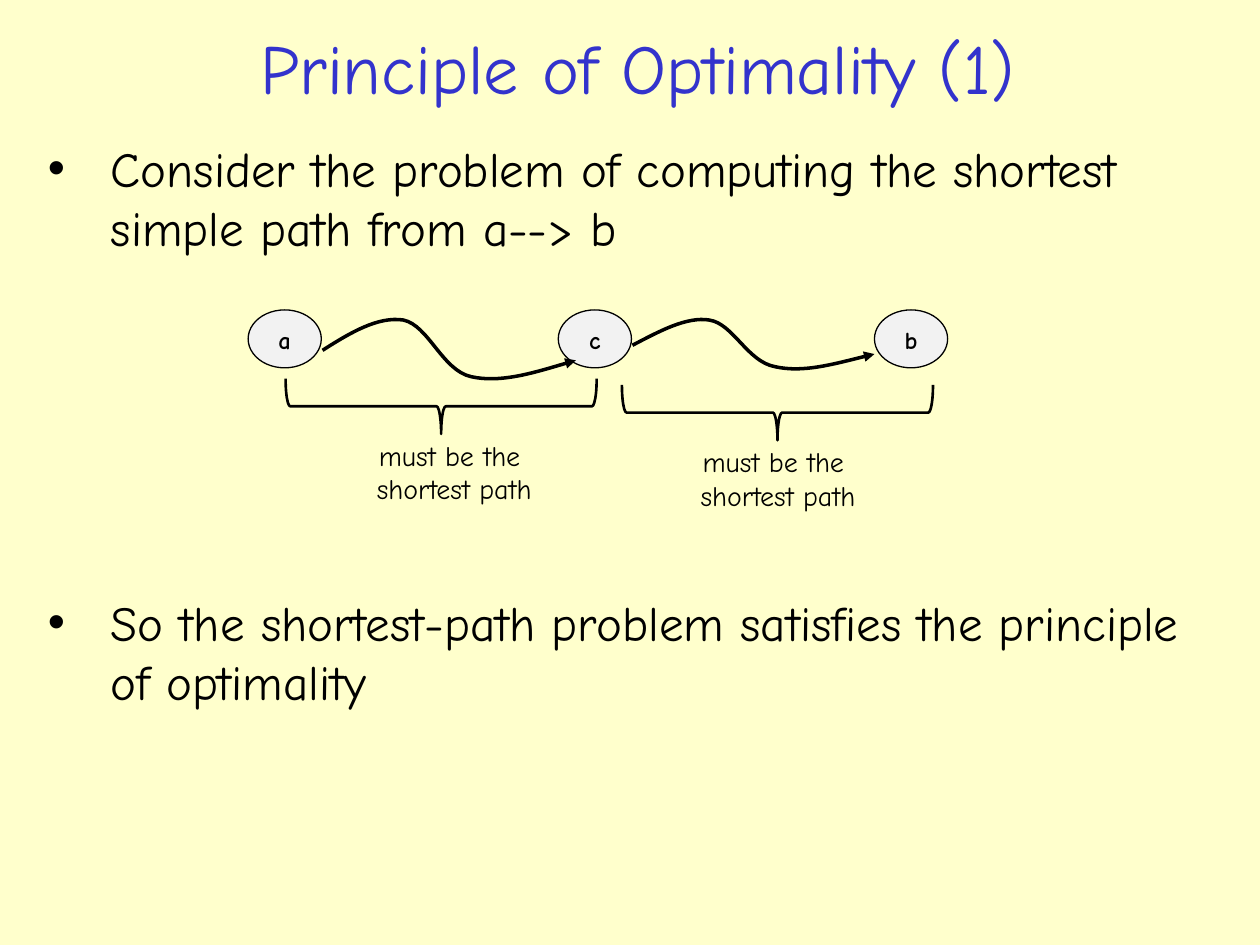
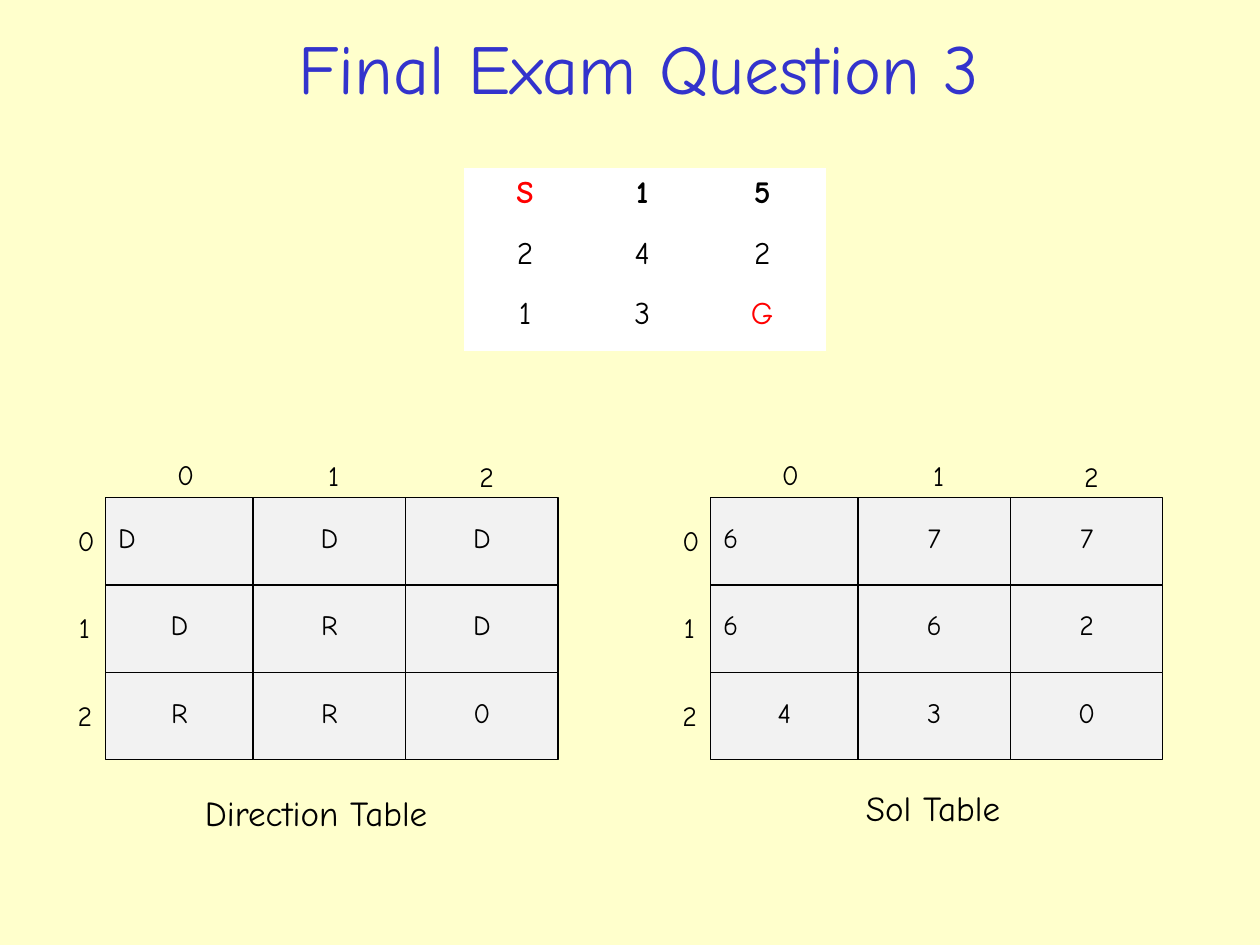
from lxml.etree import SubElement
from pptx import Presentation
from pptx.dml.color import RGBColor
from pptx.enum.shapes import MSO_SHAPE as Shape
from pptx.enum.text import MSO_ANCHOR as Anchor, MSO_AUTO_SIZE as AutoSize, PP_ALIGN as Align
from pptx.oxml.ns import qn
from pptx.util import Pt

FONT = "Comic Neue"
CREAM, BLUE, BLACK, GREY, WHITE, RED = "FFFFCC", "3333CC", "000000", "F2F2F2", "FFFFFF", "FF0000"


def colour(code):
    return RGBColor.from_string(code)


def write(para, text, size, code=BLACK, bold=False, align=Align.CENTER):
    para.alignment = align
    span = para.add_run()
    span.text = text
    span.font.name = FONT
    span.font.size = Pt(size)
    span.font.bold = bold
    span.font.color.rgb = colour(code)


deck = Presentation()
deck.slide_width, deck.slide_height = Pt(720), Pt(540)
background = deck.slide_master.background.fill
background.solid()
background.fore_color.rgb = colour(CREAM)

path_slide = deck.slides.add_slide(deck.slide_layouts[3])
exam_slide = deck.slides.add_slide(deck.slide_layouts[5])

titles = [
    (path_slide, "Principle of Optimality (1)", 0, 728.6),
    (exam_slide, "Final Exam Question 3", 21.6, 686.9),
]
for slide, text, left, width in titles:
    title = slide.shapes.title
    title.left, title.top, title.width, title.height = Pt(left), Pt(10.8), Pt(width), Pt(54.7)
    title.text_frame.vertical_anchor = Anchor.MIDDLE
    write(title.text_frame.paragraphs[0], text, 40, BLUE)

statements = [
    (1, 75.6, "Consider the problem of computing the shortest simple path from a--> b"),
    (2, 334.8, "So the shortest-path problem satisfies the principle of optimality"),
]
for index, top, text in statements:
    body = path_slide.placeholders[index]
    body.left, body.top, body.width, body.height = Pt(15.8), Pt(top), Pt(693.4), Pt(82.8)
    body.text_frame.auto_size = AutoSize.NONE
    para = body.text_frame.paragraphs[0]
    para.space_before = Pt(7)
    write(para, text, 28, align=Align.LEFT)
    properties = para._p.get_or_add_pPr()
    properties.set("marL", str(Pt(40.3)))
    properties.set("indent", str(Pt(-36)))

boxes = []
for name, left in [("a", 141.8), ("c", 319), ("b", 499.7)]:
    boxes.append((path_slide, Shape.OVAL, left, 177.1, 41.8, 33.1, name, 14, True, 1, Align.CENTER))

column_widths = [84.2, 87.1, 87.1]
row_height = 49.9
grid_top = 284.4
labels = [
    (path_slide, 259.6, 247, 103, 46.1, 16, ["must be the ", "shortest path"]),
    (path_slide, 444.6, 250.6, 103, 46.1, 16, ["must be the ", "shortest path"]),
    (exam_slide, 180.7, 448.6, 144, 31.7, 20, ["Direction Table"]),
    (exam_slide, 533.2, 445.7, 92.9, 31.7, 20, ["Sol Table"]),
]
grids = [
    (60.5, ["DDD", "DRD", "RR0"], [(0, 0)]),
    (406.1, ["677", "662", "430"], [(0, 0), (1, 0)]),
]
for grid_left, rows, left_aligned in grids:
    for row, values in enumerate(rows):
        top = grid_top + row * row_height
        for column, value in enumerate(values):
            left = grid_left + sum(column_widths[:column])
            align = Align.LEFT if (row, column) in left_aligned else Align.CENTER
            boxes.append((exam_slide, Shape.RECTANGLE, left, top, column_widths[column],
                          row_height, value, 16, False, 1.5, align))
    for index, width in enumerate(column_widths):
        center = grid_left + sum(column_widths[:index]) + width / 2 + 2.5
        column_label_top = grid_top - 26.6 + index * 0.7
        row_label_top = grid_top + 11.2 + index * row_height
        labels.append((exam_slide, center, column_label_top, 22, 26.6, 16, [str(index)]))
        labels.append((exam_slide, grid_left - 12.2, row_label_top, 22, 26.6, 16, [str(index)]))

for slide, kind, left, top, width, height, text, size, bold, spacing, align in boxes:
    box = slide.shapes.add_shape(kind, Pt(left), Pt(top), Pt(width), Pt(height))
    box.shadow.inherit = False
    box.fill.solid()
    box.fill.fore_color.rgb = colour(GREY)
    box.line.color.rgb = colour(BLACK)
    box.line.width = Pt(0.74)
    box.text_frame.vertical_anchor = Anchor.TOP
    para = box.text_frame.paragraphs[0]
    para.line_spacing = spacing
    write(para, text, size, bold=bold, align=align)

for slide, center, top, width, height, size, lines in labels:
    label = slide.shapes.add_textbox(Pt(center - width / 2), Pt(top), Pt(width), Pt(height))
    frame = label.text_frame
    frame.word_wrap = False
    frame.auto_size = AutoSize.SHAPE_TO_FIT_TEXT
    for number, line in enumerate(lines):
        para = frame.add_paragraph() if number else frame.paragraphs[0]
        write(para, line, size)

curves = [
    [(184.3, 200.2), (200.2, 190.1), (216, 180.7), (230.4, 182.9), (244.8, 185.8),
     (252.7, 211.7), (269.3, 215.3), (285.8, 218.9), (307.4, 212.4), (329, 205.9)],
    [(361.4, 197.3), (376.6, 189.4), (392.4, 180.7), (405.4, 182.9), (419, 185),
     (427, 206.6), (442.8, 209.5), (458.6, 213.1), (478.8, 207.4), (499.7, 202.3)],
]
for points in curves:
    start, *controls = [(Pt(x), Pt(y)) for x, y in points]
    builder = path_slide.shapes.build_freeform(*start)
    builder.add_line_segments(controls, close=False)
    curve = builder.convert_to_shape()
    curve.shadow.inherit = False
    curve.fill.background()
    curve.line.color.rgb = colour(BLACK)
    curve.line.width = Pt(2)
    outline = next(curve._element.iter(qn("a:path")))
    segments = outline.findall(qn("a:lnTo"))
    for first in range(0, len(segments), 3):
        bend = SubElement(outline, qn("a:cubicBezTo"))
        for segment in segments[first:first + 3]:
            bend.append(segment[0])
            outline.remove(segment)
    line = curve._element.spPr.find(qn("a:ln"))
    SubElement(line, qn("a:tailEnd"), type="triangle")

for left, top in [(236.2, 143.3), (428.4, 146.9)]:
    brace = path_slide.shapes.add_shape(Shape.RIGHT_BRACE, Pt(left), Pt(top), Pt(31.7), Pt(177.8))
    brace.rotation = 90
    brace.shadow.inherit = False
    brace.fill.background()
    brace.line.color.rgb = colour(BLACK)
    brace.line.width = Pt(1.5)

costs = ["S15", "242", "13G"]
table = exam_slide.shapes.add_table(3, 3, Pt(265.7), Pt(96.5), Pt(205.9), Pt(103.8)).table
for column, width in enumerate([68.7, 65.2, 72]):
    table.columns[column].width = Pt(width)
for row, values in enumerate(costs):
    table.rows[row].height = Pt(34.6)
    for column, value in enumerate(values):
        cell = table.cell(row, column)
        cell.fill.solid()
        cell.fill.fore_color.rgb = colour(WHITE)
        code = RED if value in "SG" else BLACK
        write(cell.text_frame.paragraphs[0], value, 18, code, bold=row == 0)

deck.save("out.pptx")
